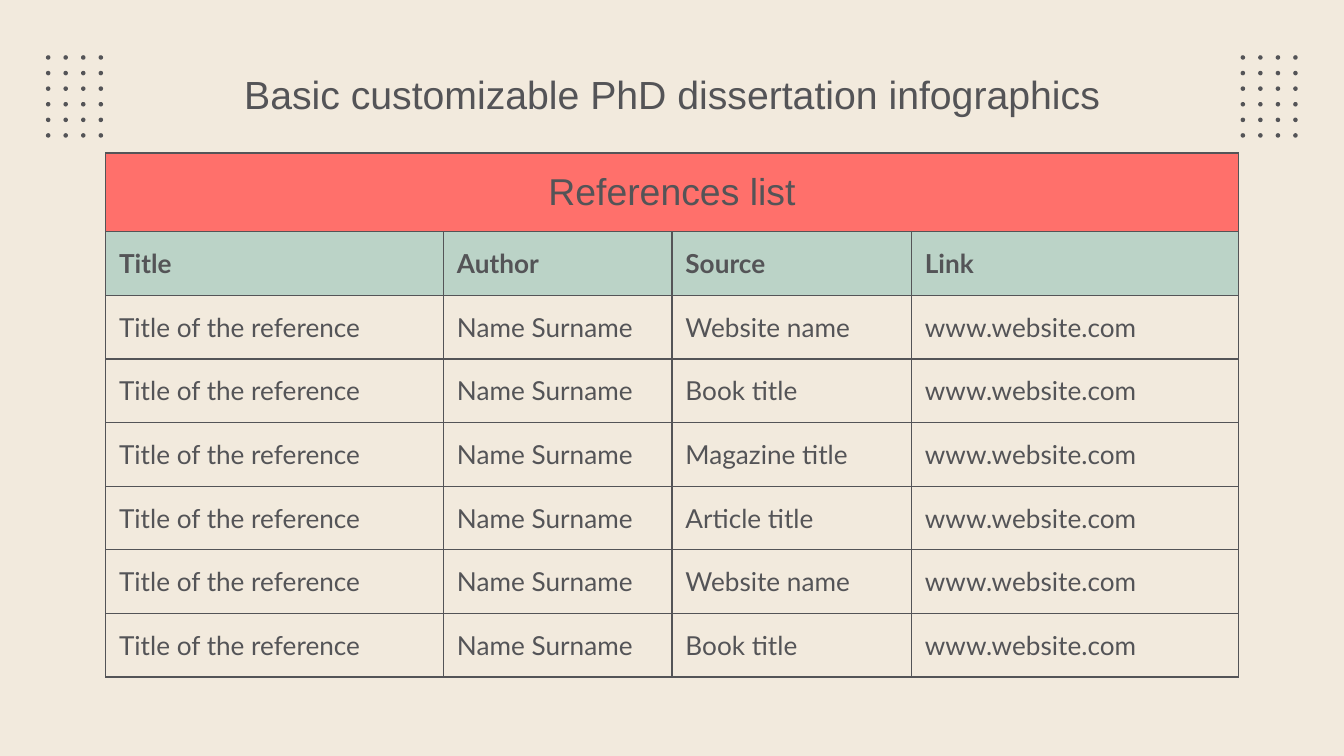
"""Build a slide with a references table and dotted corner grids."""
from itertools import product

from lxml.etree import SubElement
from pptx import Presentation
from pptx.dml.color import RGBColor
from pptx.enum.shapes import MSO_SHAPE
from pptx.enum.text import MSO_ANCHOR, PP_ALIGN
from pptx.oxml.ns import qn
from pptx.util import Pt

CREAM = RGBColor(0xF2, 0xEA, 0xDD)
GREY = RGBColor(0x54, 0x54, 0x57)
CORAL = RGBColor(0xFF, 0x70, 0x6B)
MINT = RGBColor(0xBB, 0xD3, 0xC7)

TITLE = "Basic customizable PhD dissertation infographics"
CAPTION = "References list"
HEADER = ("Title", "Author", "Source", "Link")
SOURCES = ("Website name", "Book title", "Magazine title",
           "Article title", "Website name", "Book title")
ROWS = [HEADER] + [("Title of the reference", "Name Surname", source, "www.website.com")
                   for source in SOURCES]

COL_WIDTHS = (181, 122.4, 128.3, 175.2)
CAPTION_HEIGHT, ROW_HEIGHT = 42.2, 34.1
TABLE_LEFT, TABLE_TOP = 56.6, 82
MARGIN = 7.2
DOT_LEFTS, DOT_TOP, DOT_SIZE = (24.6, 664.6), 29.6, 2.4
DOT_COLS, DOT_ROWS, DOT_DX, DOT_DY = 4, 6, 9.4, 8.35


def write(tf, text, size, font, bold=False, align=PP_ALIGN.LEFT):
    p = tf.paragraphs[0]
    p.text = text
    p.alignment = align
    p.font.size = Pt(size)
    p.font.name = font
    p.font.bold = bold
    p.font.color.rgb = GREY


def style_cell(cell, color=None):
    tc_pr = cell._tc.get_or_add_tcPr()
    for side in ("lnL", "lnR", "lnT", "lnB"):
        ln = SubElement(tc_pr, qn(f"a:{side}"), w=str(Pt(0.75)))
        fill = SubElement(ln, qn("a:solidFill"))
        SubElement(fill, qn("a:srgbClr"), val=str(GREY))
    if color is None:
        cell.fill.background()
    else:
        cell.fill.solid()
        cell.fill.fore_color.rgb = color
    cell.vertical_anchor = MSO_ANCHOR.MIDDLE
    cell.margin_left = cell.margin_right = Pt(MARGIN)
    cell.margin_top = cell.margin_bottom = Pt(MARGIN)


def add_dots(s):
    for left, row, col in product(DOT_LEFTS, range(DOT_ROWS), range(DOT_COLS)):
        sp = s.shapes.add_shape(MSO_SHAPE.OVAL, Pt(left + col * DOT_DX),
                                Pt(DOT_TOP + row * DOT_DY), Pt(DOT_SIZE), Pt(DOT_SIZE))
        sp.shadow.inherit = False
        sp.fill.solid()
        sp.fill.fore_color.rgb = GREY
        sp.line.fill.background()


def add_title(s):
    tf = s.shapes.add_textbox(Pt(56.7), Pt(29), Pt(607), Pt(45.1)).text_frame
    tf.word_wrap = True
    tf.vertical_anchor = MSO_ANCHOR.MIDDLE
    tf.margin_top, tf.margin_bottom = Pt(5), Pt(MARGIN)
    write(tf, TITLE, 21, "Arial", align=PP_ALIGN.CENTER)


def add_references(s):
    heights = [CAPTION_HEIGHT] + [ROW_HEIGHT] * len(ROWS)
    table = s.shapes.add_table(len(heights), len(COL_WIDTHS), Pt(TABLE_LEFT), Pt(TABLE_TOP),
                               Pt(sum(COL_WIDTHS)), Pt(sum(heights))).table
    table.first_row = table.horz_banding = False
    for column, width in zip(table.columns, COL_WIDTHS):
        column.width = Pt(width)
    for row, height in zip(table.rows, heights):
        row.height = Pt(height)

    for cell in table.rows[0].cells:
        style_cell(cell, CORAL)
    caption = table.cell(0, 0)
    caption.merge(table.cell(0, len(COL_WIDTHS) - 1))
    write(caption.text_frame, CAPTION, 20, "Arial", align=PP_ALIGN.CENTER)

    for i, texts in enumerate(ROWS, 1):
        is_header = i == 1
        for j, text in enumerate(texts):
            cell = table.cell(i, j)
            style_cell(cell, MINT if is_header else None)
            write(cell.text_frame, text, 14, "Lato", bold=is_header)


def main():
    prs = Presentation()
    prs.slide_width, prs.slide_height = Pt(720), Pt(405)
    s = prs.slides.add_slide(prs.slide_layouts[6])
    s.background.fill.solid()
    s.background.fill.fore_color.rgb = CREAM
    add_dots(s)
    add_title(s)
    add_references(s)
    prs.save("out.pptx")


if __name__ == "__main__":
    main()
